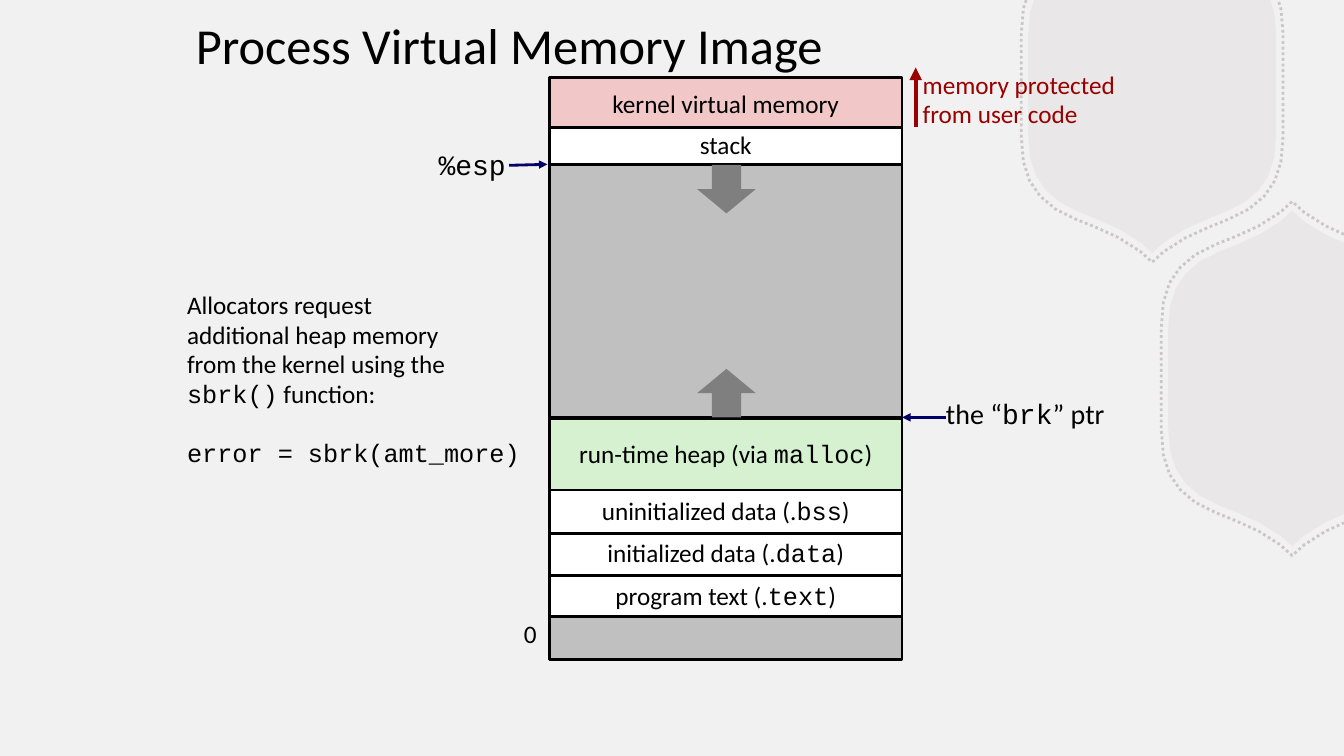
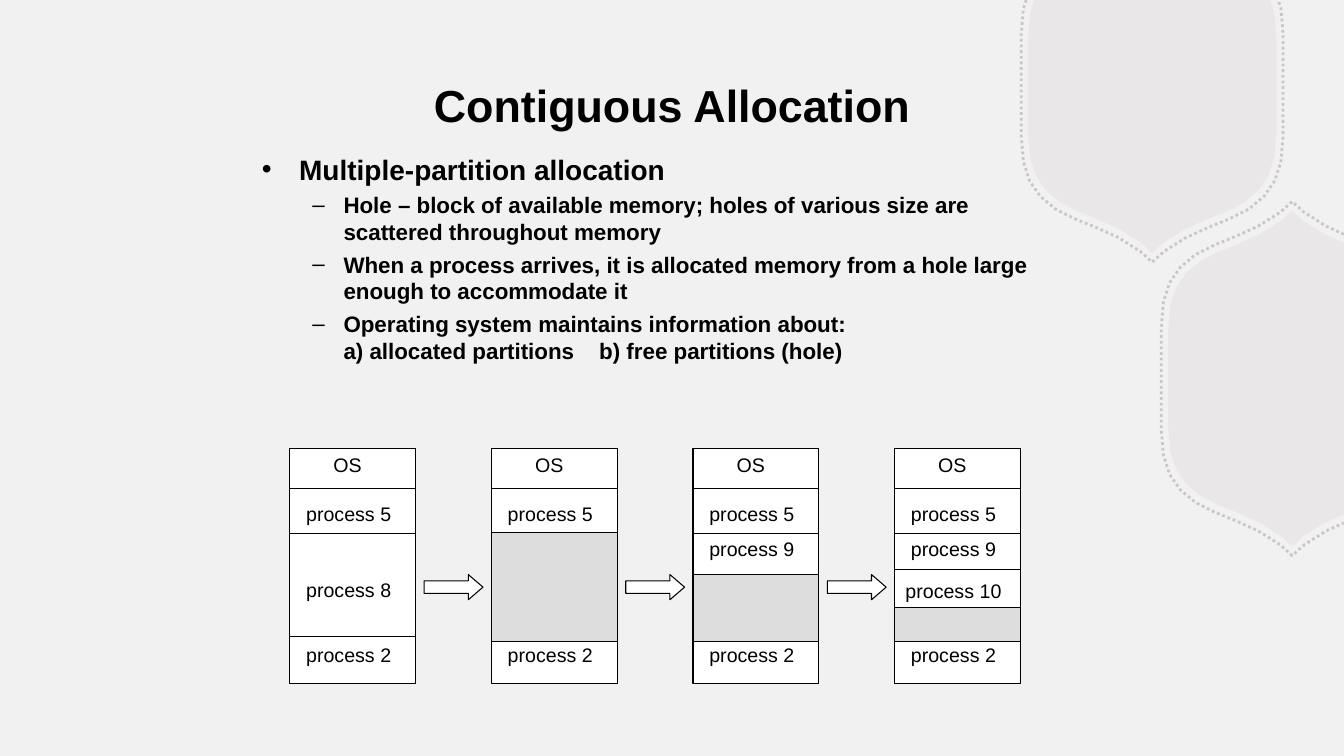
from dataclasses import dataclass
from typing import Optional

from lxml import etree
from pptx import Presentation
from pptx.dml.color import RGBColor
from pptx.enum.dml import MSO_LINE
from pptx.enum.shapes import MSO_CONNECTOR, MSO_SHAPE
from pptx.enum.text import MSO_ANCHOR, MSO_AUTO_SIZE, PP_ALIGN
from pptx.oxml.ns import qn
from pptx.util import Pt

STRAIGHT, DOTTED = MSO_CONNECTOR.STRAIGHT, MSO_LINE.ROUND_DOT
RECTANGLE, RIGHT_ARROW = MSO_SHAPE.RECTANGLE, MSO_SHAPE.RIGHT_ARROW
DOWN_ARROW, UP_ARROW = MSO_SHAPE.DOWN_ARROW, MSO_SHAPE.UP_ARROW
MIDDLE, LEFT, CENTER = MSO_ANCHOR.MIDDLE, PP_ALIGN.LEFT, PP_ALIGN.CENTER
FIT_SHAPE, NO_FIT = MSO_AUTO_SIZE.SHAPE_TO_FIT_TEXT, MSO_AUTO_SIZE.NONE

COLORS = {
    "background": "F2F1F1", "hexagon": "B8B2B2", "ink": "000000", "white": "FFFFFF",
    "kernel": "F1C7C7", "unused": "C0C0C0", "heap": "D5F1CF", "growth": "7F7F7F",
    "protected": "990000", "pointer": "000066", "hole": "DDDDDD",
}
SANS, MONO, PLAIN = "Calibri", "Courier New", "Arial"
SLIDE_W, SLIDE_H = 960, 540
Point = tuple[float, float]

# Lower left quarter of a hexagon, measured from its centre
HEX_SIDE = (-88.6, 34.9)
HEX_CURVES = [
    ((-88.6, 60.1), (-81.4, 73.1), (-65.5, 83.9)),
    ((-49, 94), (-27.4, 97.6), (-7.9, 112.7)),
]
HEX_TIP = (0, 119.9)
HEX_CENTERS = [(823, 60.8), (923, 270.4)]
OUTLINE_SCALE = 1.055


@dataclass
class Band:
    """One region of the address space; backticks enclose code."""
    top: float
    height: float
    fill: str
    label: str = ""


@dataclass
class Note:
    left: float
    top: float
    width: float
    height: float
    paragraphs: list[str]
    size: float = 18
    color: str = "ink"
    spacing: float = 0.98


@dataclass
class Pointer:
    start: Point
    end: Point
    color: str
    width: float


@dataclass
class Bullet:
    text: str
    mark: str
    indent: float
    hanging: float
    size: float
    before: float


@dataclass
class Partition:
    """Memory at one moment: labels by top, a hole as top and height, a late divider."""
    labels: list[tuple[str, float]]
    hole: Optional[tuple[float, float]] = None
    divider: Optional[float] = None


BANDS_LEFT, BANDS_WIDTH = 392.4, 252
GAP_TOP, HEAP_TOP = 114, 298.8
BANDS = [
    Band(55.4, 38.2, "kernel", "kernel virtual memory"),
    Band(GAP_TOP, 184.3, "unused"),
    Band(HEAP_TOP, 52.6, "heap", "run-time heap (via `malloc`)"),
    Band(410.6, 31, "white", "program text (.`text`)"),
    Band(380.3, 31, "white", "initialized data (.`data`)"),
    Band(350, 31, "white", "uninitialized data (.`bss`)"),
    Band(91.1, 26.4, "white", "stack"),
    Band(440.2, 31, "unused"),
]
NOTES = [
    Note(367.2, 439.5, 23.8, 28.8, ["0"]),
    Note(306.2, 103.7, 62.6, 31, ["`%esp`"], 20, spacing=0.94),
    Note(652, 46.8, 153.4, 50.4, ["memory protected\nfrom user code"], color="protected"),
    Note(668.6, 280.8, 128.9, 31.7, ["the “`brk`” ptr"], 20),
    Note(126.5, 204.2, 272.2, 136, [
        "Allocators request", "additional heap memory",
        "from the kernel using the\n`sbrk()` function:", "`error = sbrk(amt_more)`"]),
]
CALL_GAP = 21.3
POINTERS = [
    Pointer((363.6, 118.1), (391, 117.4), "pointer", 2),
    Pointer((654.1, 90.9), (654.1, 48.2), "protected", 3),
    Pointer((675.4, 298.1), (644.4, 298.1), "pointer", 2),
]

SUB = ("–", 58.3, -22.3, 16, 4)
BULLETS = [
    Bullet("Multiple-partition allocation", "•", 26.6, -26.6, 20, 0),
    Bullet("Hole – block of available memory; holes of various size are "
           "scattered throughout memory", *SUB),
    Bullet("When a process arrives, it is allocated memory from a hole large "
           "enough to accommodate it", *SUB),
    Bullet("Operating system maintains information about:\n"
           "a) allocated partitions|b) free partitions (hole)", *SUB),
]
CHOICE_GAP = 13.3

COLUMN_LEFT, COLUMN_TOP, COLUMN_PITCH = 207, 320.4, 144
COLUMN_WIDTH, COLUMN_HEIGHT = 90, 168
STEP_WIDTH, STEP_HEIGHT, STEP_TOP = 42, 18, 410.4
DIVIDERS = [349, 381.4, 454.6]
FIXED_LABELS = [("process 5", 354.8), ("process 2", 455.6)]
PARTITIONS = [
    Partition([("process 8", 408.8)]),
    Partition([], (380.2, 77.8)),
    Partition([("process 9", 379.8)], (410.4, 48)),
    Partition([("process 9", 379.8), ("process 10", 409.7)], (434.2, 23.8), 406.8),
]


def rgb(color: str) -> RGBColor:
    return RGBColor.from_string(COLORS[color])


def set_alpha(shape, percent: int) -> None:
    for color in shape.element.spPr.iter(qn("a:srgbClr")):
        etree.SubElement(color, qn("a:alpha")).set("val", str(percent * 1000))


def style_run(run, font: str, size: float, color: str = "ink", bold: bool = False) -> None:
    run.font.name, run.font.size, run.font.bold = font, Pt(size), bold
    run.font.color.rgb = rgb(color)


def write_mixed(paragraph, text: str, size: float, color: str = "ink", spacing: float = 0.98) -> None:
    """Set the parts between backticks in the code font."""
    paragraph.line_spacing = spacing
    for row, line in enumerate(text.split("\n")):
        if row:
            paragraph.add_line_break()
        for number, part in enumerate(line.split("`")):
            if part:
                run = paragraph.add_run()
                run.text = part
                style_run(run, MONO if number % 2 else SANS, size, color)


def add_box(shapes, kind, left: float, top: float, width: float, height: float,
            fill: str, line_width: float = 0):
    box = shapes.add_shape(kind, Pt(left), Pt(top), Pt(width), Pt(height))
    box.shadow.inherit = False
    box.fill.solid()
    box.fill.fore_color.rgb = rgb(fill)
    if line_width:
        box.line.color.rgb = rgb("ink")
        box.line.width = Pt(line_width)
    else:
        box.line.fill.background()
    return box


def add_line(shapes, start: Point, end: Point, color: str, width: float, arrow: bool = False) -> None:
    line = shapes.add_connector(STRAIGHT, *map(Pt, (*start, *end)))
    line.line.color.rgb = rgb(color)
    line.line.width = Pt(width)
    if arrow:
        etree.SubElement(line.line._get_or_add_ln(), qn("a:tailEnd")).set("type", "triangle")
    etree.SubElement(line.element.spPr, qn("a:effectLst"))


def add_text_frame(shapes, left: float, top: float, width: float, height: float, wrap: bool):
    frame = shapes.add_textbox(*map(Pt, (left, top, width, height))).text_frame
    frame.word_wrap = wrap
    return frame


def set_title(slide, text: str, left: float, top: float, width: float, height: float,
              font: str, size: float, bold: bool = False) -> None:
    title = slide.shapes.title
    title.left, title.top, title.width, title.height = map(Pt, (left, top, width, height))
    frame = title.text_frame
    frame.text = text
    frame.auto_size, frame.vertical_anchor = NO_FIT, MIDDLE
    frame.paragraphs[0].alignment = CENTER
    style_run(frame.paragraphs[0].runs[0], font, size, bold=bold)


def hexagon_points(center: Point, scale: float, steps: int = 4) -> list[Point]:
    quarter = [HEX_SIDE]
    for first, second, end in HEX_CURVES:
        corners = (quarter[-1], first, second, end)
        for t in (step / steps for step in range(1, steps + 1)):
            u = 1 - t
            weights = (u ** 3, 3 * u * u * t, 3 * u * t * t, t ** 3)
            quarter.append(tuple(sum(w * c[axis] for w, c in zip(weights, corners))
                                 for axis in (0, 1)))
    back = [HEX_TIP, *quarter[::-1]]
    loop = (quarter + [(-x, y) for x, y in back]
            + [(-x, -y) for x, y in quarter] + [(x, -y) for x, y in back])
    return [(center[0] + scale * x, center[1] + scale * y) for x, y in loop]


def depth(point: Point) -> float:
    """Distance inside the top and right slide edges, negative beyond them."""
    return min(SLIDE_W - point[0], point[1])


def edge_crossing(a: Point, b: Point) -> Point:
    t = depth(a) / (depth(a) - depth(b))
    return a[0] + t * (b[0] - a[0]), a[1] + t * (b[1] - a[1])


def visible_run(loop: list[Point]) -> list[Point]:
    """Open the loop where it enters the slide and cut off what lies outside."""
    entry = next(i for i, point in enumerate(loop) if depth(point) >= 0 > depth(loop[i - 1]))
    loop = loop[entry:] + loop[:entry]
    leave = next(i for i, point in enumerate(loop) if depth(point) < 0)
    return [edge_crossing(loop[0], loop[-1]), *loop[:leave],
            edge_crossing(loop[leave - 1], loop[leave])]


def add_outline(shapes, center: Point, scale: float, close: bool):
    start, *rest = [(Pt(x), Pt(y)) for x, y in visible_run(hexagon_points(center, scale))]
    builder = shapes.build_freeform(*start)
    builder.add_line_segments(rest, close=close)
    outline = builder.convert_to_shape()
    outline.shadow.inherit = False
    return outline


def decorate_layout(layout, slide) -> None:
    """Draw the hexagons on the slide, then move them to the shared layout."""
    layout.background.fill.solid()
    layout.background.fill.fore_color.rgb = rgb("background")
    for center in HEX_CENTERS:
        body = add_outline(slide.shapes, center, 1, True)
        body.fill.solid()
        body.fill.fore_color.rgb = rgb("hexagon")
        body.line.fill.background()
        set_alpha(body, 15)
        rim = add_outline(slide.shapes, center, OUTLINE_SCALE, False)
        rim.fill.background()
        rim.line.color.rgb = rgb("hexagon")
        rim.line.width, rim.line.dash_style = Pt(2), DOTTED
        set_alpha(rim, 65)
        for part in (body, rim):
            layout.shapes.element.append(part.element)


def build_memory_image(slide) -> None:
    shapes = slide.shapes
    set_title(slide, "Process Virtual Memory Image", 105.8, -15.1, 516.2, 93.6, SANS, 36)
    for band in BANDS:
        box = add_box(shapes, RECTANGLE, BANDS_LEFT, band.top, BANDS_WIDTH, band.height, band.fill, 2)
        if band.label:
            frame = box.text_frame
            frame.word_wrap, frame.vertical_anchor = False, MIDDLE
            frame.paragraphs[0].alignment = CENTER
            write_mixed(frame.paragraphs[0], band.label, 18)
    for note in NOTES:
        frame = add_text_frame(shapes, note.left, note.top, note.width, note.height, False)
        frame.auto_size = FIT_SHAPE
        for number, text in enumerate(note.paragraphs):
            paragraph = frame.add_paragraph() if number else frame.paragraphs[0]
            paragraph.alignment = LEFT
            write_mixed(paragraph, text, note.size, note.color, note.spacing)
            if text.startswith("`error"):
                paragraph.space_before = Pt(CALL_GAP)
    for pointer in POINTERS:
        add_line(shapes, pointer.start, pointer.end, pointer.color, pointer.width, True)
    for kind, top in ((DOWN_ARROW, 117.8), (UP_ARROW, 263.5)):
        add_box(shapes, kind, 498, top, 41.8, 34.6, "growth")


def write_bullet(paragraph, bullet: Bullet) -> None:
    properties = paragraph._p.get_or_add_pPr()
    properties.set("marL", str(Pt(bullet.indent)))
    properties.set("indent", str(Pt(bullet.hanging)))
    etree.SubElement(properties, qn("a:buFont")).set("typeface", PLAIN)
    etree.SubElement(properties, qn("a:buChar")).set("char", bullet.mark)
    paragraph.space_before = Pt(bullet.before)
    paragraph.text, *choices = bullet.text.split("|")
    for choice in choices:
        gap, run = paragraph.add_run(), paragraph.add_run()
        gap.text, run.text = " ", choice
        gap._r.get_or_add_rPr().set("spc", str(round(CHOICE_GAP * 100)))
    for run in paragraph.runs:
        style_run(run, PLAIN, bullet.size, bold=True)
    for line_break in paragraph._p.iter(qn("a:br")):
        etree.SubElement(line_break, qn("a:rPr")).set("sz", str(bullet.size * 100))


def add_label(shapes, text: str, left: float, top: float, width: float = 84.2, wrap: bool = True) -> None:
    frame = add_text_frame(shapes, left, top, width, 24.5, wrap)
    frame.text = text
    frame.auto_size, frame.vertical_anchor = FIT_SHAPE, MIDDLE
    frame.paragraphs[0].alignment = CENTER
    style_run(frame.paragraphs[0].runs[0], PLAIN, 14)


def draw_partition(shapes, partition: Partition, left: float) -> None:
    add_box(shapes, RECTANGLE, left, COLUMN_TOP, COLUMN_WIDTH, COLUMN_HEIGHT, "white", 0.75)
    for y in DIVIDERS:
        add_line(shapes, (left, y), (left + COLUMN_WIDTH, y), "ink", 0.75)
    if partition.hole:
        top, height = partition.hole
        add_box(shapes, RECTANGLE, left, top, COLUMN_WIDTH, height, "hole", 0.75)
    if partition.divider:
        add_line(shapes, (left, partition.divider), (left + COLUMN_WIDTH, partition.divider), "ink", 0.75)
    add_label(shapes, "OS", left + 24, 319.7, 34.6, False)
    for text, top in FIXED_LABELS + partition.labels:
        add_label(shapes, text, left, top)


def build_contiguous_allocation(slide) -> None:
    shapes = slide.shapes
    set_title(slide, "Contiguous Allocation", 174.2, 47.8, 612, 54, PLAIN, 32, True)
    frame = add_text_frame(shapes, 180, 105.1, 578.9, 205.2, True)
    for number, bullet in enumerate(BULLETS):
        write_bullet(frame.add_paragraph() if number else frame.paragraphs[0], bullet)
    step_offset = (COLUMN_PITCH - COLUMN_WIDTH + STEP_WIDTH) / 2
    for number, partition in enumerate(PARTITIONS):
        left = COLUMN_LEFT + number * COLUMN_PITCH
        draw_partition(shapes, partition, left)
        if number:
            step = add_box(shapes, RIGHT_ARROW, left - step_offset, STEP_TOP,
                           STEP_WIDTH, STEP_HEIGHT, "white", 0.75)
            step.adjustments[1] = 0.58


def main() -> None:
    deck = Presentation()
    deck.slide_width, deck.slide_height = Pt(SLIDE_W), Pt(SLIDE_H)
    layout = deck.slide_layouts[5]
    memory_image, allocation = (deck.slides.add_slide(layout) for _ in range(2))
    decorate_layout(layout, memory_image)
    build_memory_image(memory_image)
    build_contiguous_allocation(allocation)
    deck.save("out.pptx")


if __name__ == "__main__":
    main()
